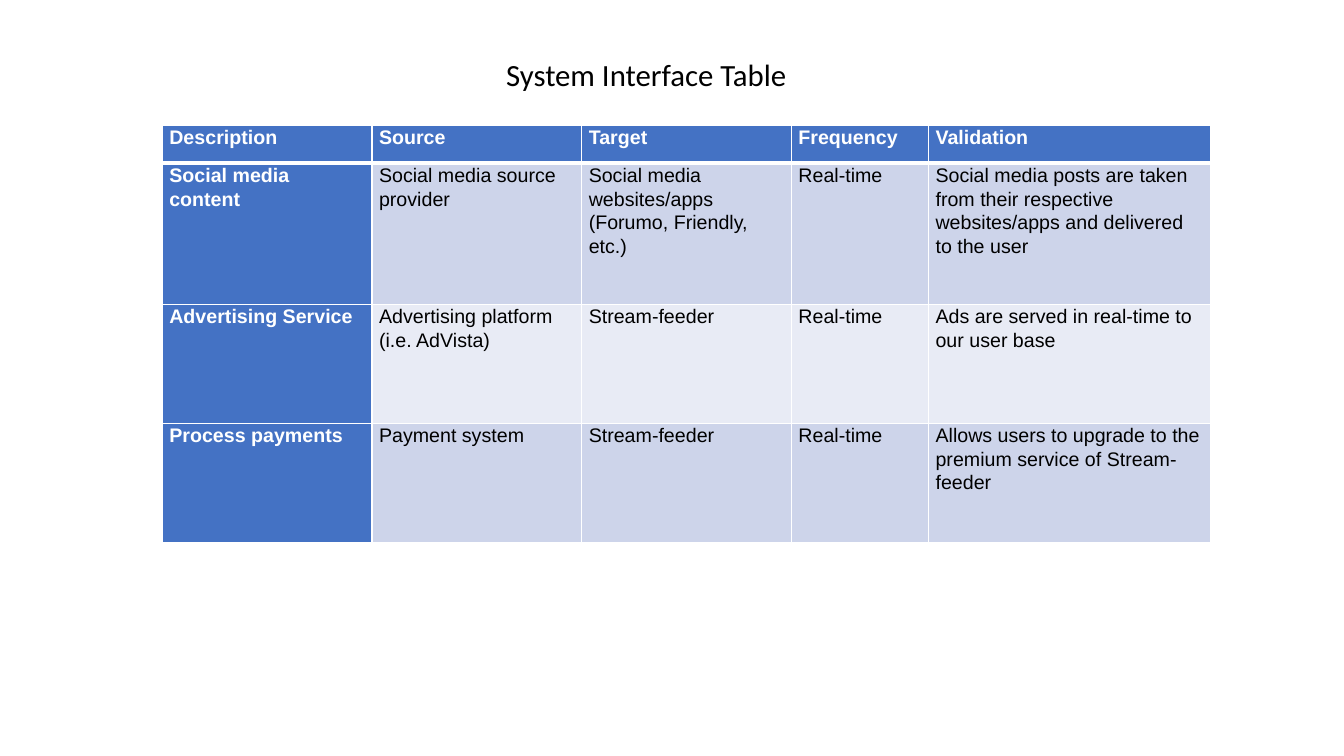
from dataclasses import dataclass

from lxml.etree import SubElement
from pptx import Presentation
from pptx.dml.color import RGBColor
from pptx.enum.text import PP_ALIGN
from pptx.oxml.ns import qn
from pptx.util import Inches, Pt

SLIDE_WIDTH, SLIDE_HEIGHT = 13.33, 7.5
COLUMN_WIDTHS = (2.08, 2.08, 2.08, 1.36, 2.8)
ROW_HEIGHTS = (0.38, 1.4, 1.18, 1.18)

INTERFACES = (
    ("Description", "Source", "Target", "Frequency", "Validation"),
    ("Social media content", "Social media source provider",
     "Social media websites/apps (Forumo, Friendly, etc.)", "Real-time",
     "Social media posts are taken from their respective websites/apps "
     "and delivered to the user"),
    ("Advertising Service", "Advertising platform (i.e. AdVista)",
     "Stream-feeder", "Real-time",
     "Ads are served in real-time to our user base"),
    ("Process payments", "Payment system", "Stream-feeder", "Real-time",
     "Allows users to upgrade to the premium service of Stream-feeder"),
)


@dataclass(frozen=True)
class Theme:
    heading_fill: str = "4472C4"
    bands: tuple = ("E8EBF5", "CDD4EA")
    light: str = "FFFFFF"
    dark: str = "000000"
    title_font: str = "Calibri"
    title_size: int = 22
    table_font: str = "Arial"
    table_size: int = 14
    rule: int = 1
    heading_rule: int = 3


THEME = Theme()


def style_font(font, name, size, color, bold=False):
    font.name = name
    font.size = Pt(size)
    font.bold = bold
    font.color.rgb = RGBColor.from_string(color)


def add_title(slide, wording):
    title = slide.shapes.add_textbox(
        Inches(3.96), Inches(0.5), Inches(4.9), Inches(0.47))
    title.text_frame.word_wrap = True
    heading = title.text_frame.paragraphs[0]
    heading.text = wording
    heading.alignment = PP_ALIGN.CENTER
    style_font(heading.font, THEME.title_font, THEME.title_size, THEME.dark)


def add_border(cell, side, points):
    border = SubElement(cell._tc.get_or_add_tcPr(), qn(f"a:ln{side}"),
                        w=str(Pt(points)))
    paint = SubElement(border, qn("a:solidFill"))
    SubElement(paint, qn("a:srgbClr"), val=THEME.light)


def fill_cell(cell, wording, row, column):
    is_heading = row == 0 or column == 0
    cell.margin_left = cell.margin_right = Inches(0.07)
    cell.margin_top = cell.margin_bottom = 0
    heavy_side = {0: "B", 1: "T"}.get(row)
    for side in "LRTB":
        add_border(cell, side,
                   THEME.heading_rule if side == heavy_side else THEME.rule)
    cell.fill.solid()
    cell.fill.fore_color.rgb = RGBColor.from_string(
        THEME.heading_fill if is_heading else THEME.bands[row % 2])
    entry = cell.text_frame.paragraphs[0]
    entry.text = wording
    entry.line_spacing = 1.07
    style_font(entry.font, THEME.table_font, THEME.table_size,
               THEME.light if is_heading else THEME.dark, is_heading)


def add_interface_table(slide):
    table = slide.shapes.add_table(
        len(ROW_HEIGHTS), len(COLUMN_WIDTHS), Inches(1.61), Inches(1.24),
        Inches(sum(COLUMN_WIDTHS)), Inches(sum(ROW_HEIGHTS))).table
    table.first_col = True
    for column, width in zip(table.columns, COLUMN_WIDTHS):
        column.width = Inches(width)
    for row, height in zip(table.rows, ROW_HEIGHTS):
        row.height = Inches(height)
    for row, entries in enumerate(INTERFACES):
        for column, wording in enumerate(entries):
            fill_cell(table.cell(row, column), wording, row, column)


def main():
    deck = Presentation()
    deck.slide_width = Inches(SLIDE_WIDTH)
    deck.slide_height = Inches(SLIDE_HEIGHT)
    slide = deck.slides.add_slide(deck.slide_layouts[6])
    add_interface_table(slide)
    add_title(slide, "System Interface Table")
    deck.save("out.pptx")


if __name__ == "__main__":
    main()
